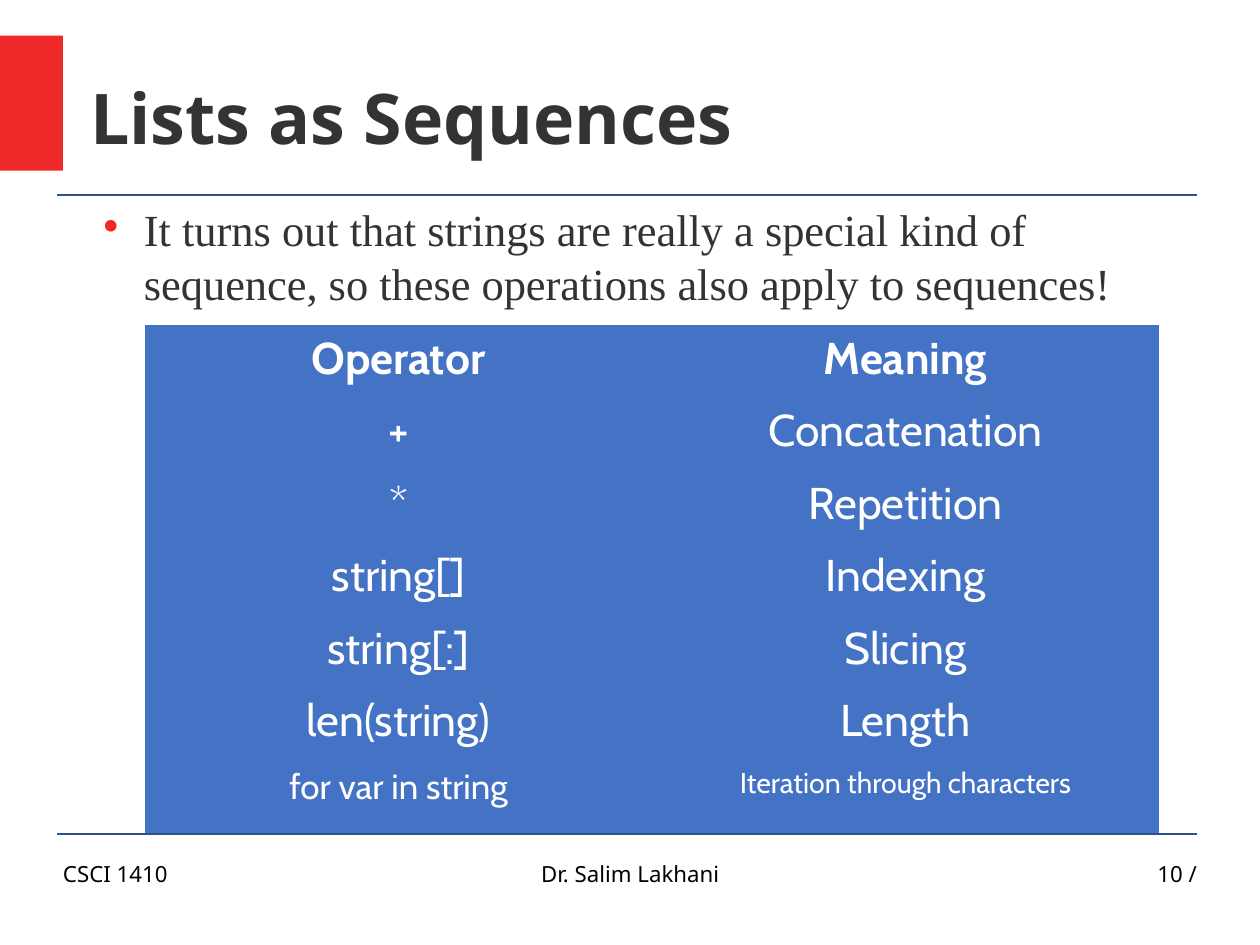
"""Build the slide on lists as sequences."""
from dataclasses import dataclass

from lxml import etree
from pptx import Presentation
from pptx import util as u
from pptx.dml import color
from pptx.enum import shapes, text
from pptx.oxml import ns


@dataclass(frozen=True)
class Theme:
    """Hold the colours, fonts and type sizes in points."""

    red: str = "EF2929"
    rule: str = "2F528F"
    cell: str = "4472C4"
    dark: str = "333333"
    black: str = "000000"
    white: str = "FFFFFF"
    heading_font: str = "Noto Sans"
    body_font: str = "Times New Roman"
    table_font: str = "Cabin"
    bullet_font: str = "Wingdings"
    title: int = 44
    body: int = 28
    medium: int = 22
    small: int = 18
    footer: int = 14


THEME = Theme()
ALIGN = text.PP_ALIGN
OPERATORS = [
    ("Operator", "Meaning"),
    ("+", "Concatenation"),
    ("*", "Repetition"),
    ("string[]", "Indexing"),
    ("string[:]", "Slicing"),
    ("len(string)", "Length"),
    ("for var in string", "Iteration through characters"),
]
LAST_ROW_SIZES = (THEME.medium, THEME.small)


def apply(target, values):
    """Set each named attribute of the target."""
    for name, value in values.items():
        setattr(target, name, value)


def write(frame, words, font, size, ink, bold=False, **para_format):
    """Write one formatted paragraph and return it."""
    para = frame.paragraphs[0]
    apply(para, para_format)
    span = para.add_run()
    span.text = words
    apply(span.font, {"name": font, "size": u.Pt(size), "bold": bold})
    span.font.color.rgb = color.RGBColor.from_string(ink)
    return para


def add_text(page, place, words, font, size, ink, anchor=text.MSO_ANCHOR.TOP, **style):
    """Add a wrapped text box without margins and return its paragraph."""
    box = page.shapes.add_textbox(*map(u.Pt, place))
    apply(box.text_frame, {
        "word_wrap": True, "vertical_anchor": anchor,
        "margin_left": 0, "margin_right": 0, "margin_top": 0, "margin_bottom": 0,
    })
    return write(box.text_frame, words, font, size, ink, **style)


def add_bullet(para, ink, percent, indent, hang):
    """Give the paragraph a hanging coloured bullet."""
    props = para._p.get_or_add_pPr()
    props.set("marL", str(u.Pt(indent)))
    props.set("indent", str(-u.Pt(hang)))
    tint = etree.SubElement(props, ns.qn("a:buClr"))
    etree.SubElement(tint, ns.qn("a:srgbClr"), val=ink)
    etree.SubElement(props, ns.qn("a:buSzPct"), val=str(percent * 1000))
    etree.SubElement(props, ns.qn("a:buFont"), typeface=THEME.bullet_font, charset="2")
    etree.SubElement(props, ns.qn("a:buChar"), char="l")


def add_block(page, place, ink):
    """Add a plain filled rectangle."""
    block = page.shapes.add_shape(shapes.MSO_SHAPE.RECTANGLE, *map(u.Pt, place))
    block.shadow.inherit = False
    block.fill.solid()
    block.fill.fore_color.rgb = color.RGBColor.from_string(ink)
    block.line.fill.background()


def add_rule(page, left, right, top):
    """Add a horizontal rule."""
    ends = map(u.Pt, (left, top, right, top))
    rule = page.shapes.add_connector(shapes.MSO_CONNECTOR.STRAIGHT, *ends)
    rule.line.width = u.Pt(1.45)
    rule.line.color.rgb = color.RGBColor.from_string(THEME.rule)
    etree.SubElement(rule._element.spPr, ns.qn("a:effectLst"))


def paint_cell(cell, ink):
    """Fill a cell and hide its borders."""
    props = cell._tc.get_or_add_tcPr()
    for side in ("a:lnL", "a:lnR", "a:lnT", "a:lnB"):
        border = etree.SubElement(props, ns.qn(side), w="0")
        etree.SubElement(border, ns.qn("a:noFill"))
    cell.fill.solid()
    cell.fill.fore_color.rgb = color.RGBColor.from_string(ink)


def add_operator_table(page, place):
    """Add the table of operators and meanings."""
    row_count, column_count = len(OPERATORS), len(OPERATORS[0])
    frame = page.shapes.add_table(row_count, column_count, *map(u.Pt, place))
    table = frame.table
    apply(table, {"first_row": False, "horz_banding": False})
    for row, words in enumerate(OPERATORS):
        sizes = LAST_ROW_SIZES if row == row_count - 1 else (THEME.body,) * column_count
        for column, size in enumerate(sizes):
            cell = table.cell(row, column)
            paint_cell(cell, THEME.cell)
            write(cell.text_frame, words[column], THEME.table_font, size, THEME.white,
                  bold=row == 0, alignment=ALIGN.CENTER, space_before=u.Pt(size / 5))


def main():
    """Build and save the deck."""
    deck = Presentation()
    apply(deck, {"slide_width": u.Pt(793.7), "slide_height": u.Pt(595.28)})
    page = deck.slides.add_slide(deck.slide_layouts[6])
    add_block(page, (0, 22.5, 39.7, 85), THEME.red)
    for top in (123, 525.5):
        add_rule(page, 36, 754, top)
    footers = [
        (39.7, 185, "CSCI 1410", ALIGN.LEFT),
        (271.4, 251.3, "Dr. Salim Lakhani", ALIGN.CENTER),
        (569, 185, "10 /", ALIGN.RIGHT),
    ]
    for left, width, words, alignment in footers:
        add_text(page, (left, 542.2, width, 41), words, THEME.heading_font,
                 THEME.footer, THEME.black, alignment=alignment)
    add_text(page, (56.7, 24, 697, 99), "Lists as Sequences", THEME.heading_font,
             THEME.title, THEME.dark, anchor=text.MSO_ANCHOR.MIDDLE, bold=True)
    statement = add_text(
        page, (56.7, 127.5, 680.4, 391),
        "It turns out that strings are really a special kind of sequence, "
        "so these operations also apply to sequences!",
        THEME.body_font, THEME.body, THEME.dark, space_after=u.Pt(7.2))
    add_bullet(statement, THEME.red, percent=45, indent=34, hang=25.5)
    add_operator_table(page, (91.4, 205, 638.6, 319.7))
    deck.save("out.pptx")


if __name__ == "__main__":
    main()
